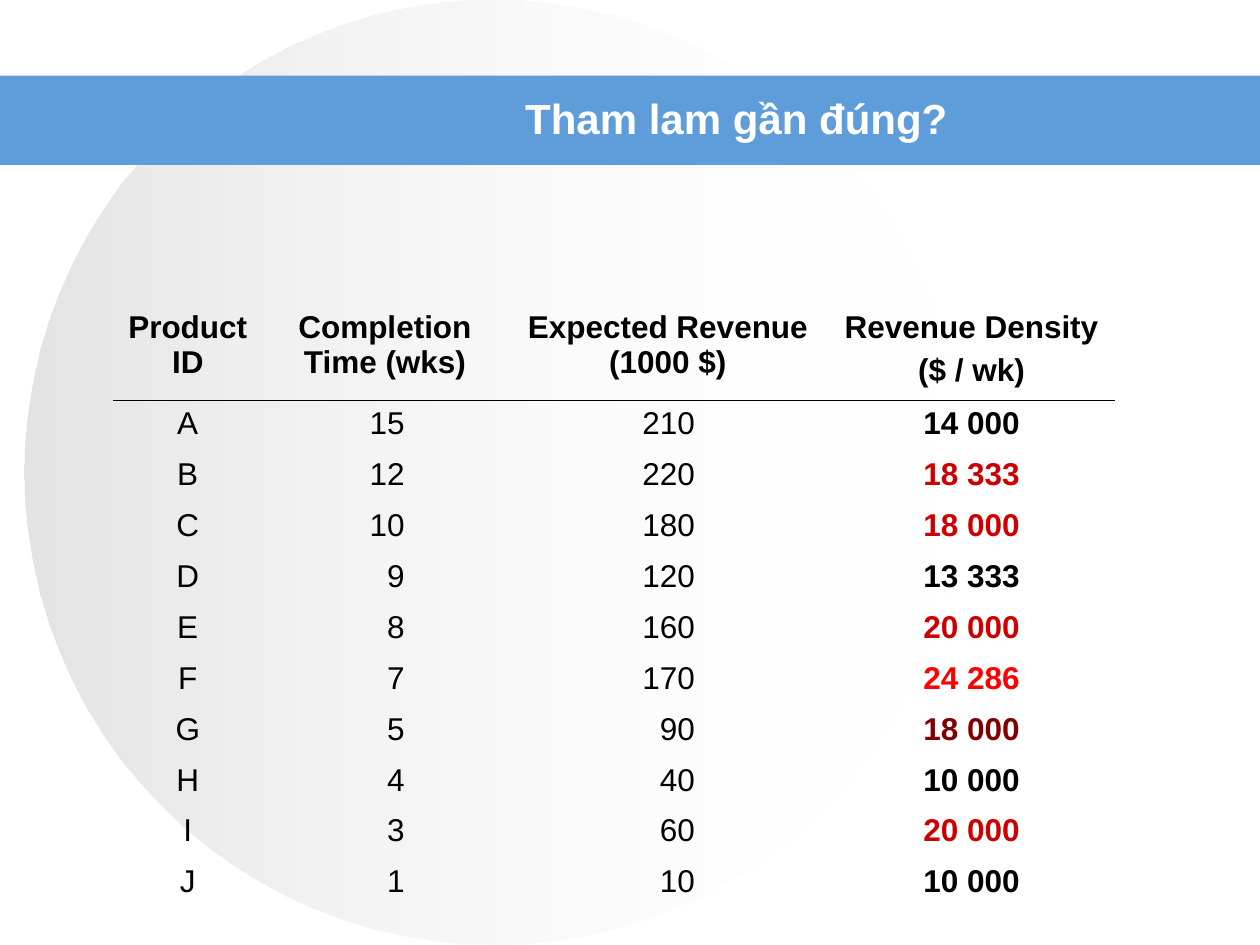
from lxml import etree
from pptx import Presentation, util as u
from pptx.dml.color import RGBColor
from pptx.enum import shapes, text
from pptx.oxml import ns

Pt = u.Pt
COLORS = {"white": "FFFFFF", "black": "000000", "band": "5E9CDA", "grey": "C0C0C0",
          "dark red": "CC0000", "red": "FF0000", "maroon": "800000"}
CENTER, RIGHT = text.PP_ALIGN.CENTER, text.PP_ALIGN.RIGHT


def rgb(name):
    return RGBColor.from_string(COLORS[name])


def write(p, words, color, align=CENTER, **font):
    p.alignment = align
    r = p.add_run()
    r.text = words
    for key, value in {"name": "Arial", "size": Pt(18), "bold": False, **font}.items():
        setattr(r.font, key, value)
    r.font.color.rgb = rgb(color)


prs = Presentation()
prs.slide_width, prs.slide_height = Pt(720), Pt(540)
s = prs.slides.add_slide(prs.slide_layouts[6])

# Background disc, fading to the right
disc = s.shapes.add_shape(shapes.MSO_SHAPE.OVAL, Pt(14.2), 0, Pt(535.7), Pt(540))
disc.fill.gradient()
disc.fill.gradient_angle = 0
for stop, name in zip(disc.fill.gradient_stops, ("grey", "white")):
    stop.color.rgb = rgb(name)
stops = disc._element.spPr.findall(".//" + ns.qn("a:srgbClr"))
for clr, alpha in zip(stops, ("44000", "0")):
    etree.SubElement(clr, ns.qn("a:alpha"), val=alpha)

# Title band
band = s.shapes.add_shape(shapes.MSO_SHAPE.RECTANGLE, 0, Pt(43.2), Pt(720), Pt(51))
band.fill.solid()
band.fill.fore_color.rgb = rgb("band")
for sp in (disc, band):
    sp.shadow.inherit = False
    sp.line.fill.background()

# Title
tf = s.shapes.add_textbox(Pt(123.8), Pt(48.2), Pt(594), Pt(38.2)).text_frame
tf.word_wrap = True
tf.vertical_anchor = text.MSO_ANCHOR.MIDDLE
write(tf.paragraphs[0], "Tham lam gần đúng?", "white", size=Pt(24), bold=True)

# Table data
HEADERS = ["Product ID", "Completion Time (wks)", "Expected Revenue (1000 $)",
           "Revenue Density\n($ / wk)"]
PRODUCTS = [
    ("A", "15", "210", "14 000", "black"),
    ("B", "12", "220", "18 333", "dark red"),
    ("C", "10", "180", "18 000", "dark red"),
    ("D", "9", "120", "13 333", "black"),
    ("E", "8", "160", "20 000", "dark red"),
    ("F", "7", "170", "24 286", "red"),
    ("G", "5", "90", "18 000", "maroon"),
    ("H", "4", "40", "10 000", "black"),
    ("I", "3", "60", "20 000", "dark red"),
    ("J", "1", "10", "10 000", "black"),
]
WIDTHS = [85, 140.4, 182.9, 164.2]
HEADER_H, ROW_H = 54.7, 29.1
NUMBER_MARGINS = {1: 59, 2: 76}  # right margins of the right-aligned columns

frame = s.shapes.add_table(len(PRODUCTS) + 1, len(HEADERS), Pt(64.8), Pt(173.6),
                           Pt(sum(WIDTHS)), Pt(HEADER_H + ROW_H * len(PRODUCTS)))
table = frame.table
table.first_row = table.horz_banding = False
style = table._tbl.tblPr.find(ns.qn("a:tableStyleId"))
style.text = "{2D5ABB26-0587-4C30-8999-92F81FD0307C}"  # no style, no grid
for col, width in zip(table.columns, WIDTHS):
    col.width = Pt(width)
for i, row in enumerate(table.rows):
    row.height = Pt(ROW_H if i else HEADER_H)

# Header row with a rule below
for cell, header in zip(table.rows[0].cells, HEADERS):
    cell.fill.background()
    tf = cell.text_frame
    for i, words in enumerate(header.split("\n")):
        p = tf.add_paragraph() if i else tf.paragraphs[0]
        p.space_before = Pt(4.5)
        write(p, words, "black", bold=True)
    rule = etree.Element(ns.qn("a:lnB"), w=str(Pt(0.45)))
    fill = etree.SubElement(rule, ns.qn("a:solidFill"))
    etree.SubElement(fill, ns.qn("a:srgbClr"), val=COLORS["black"])
    cell._tc.get_or_add_tcPr().insert(0, rule)

# Product rows
for i, (*values, density_color) in enumerate(PRODUCTS, 1):
    for j, value in enumerate(values):
        cell = table.cell(i, j)
        cell.fill.background()
        if j in NUMBER_MARGINS:
            cell.margin_right = Pt(NUMBER_MARGINS[j])
        is_density = j == 3
        p = cell.text_frame.paragraphs[0]
        p.space_before = Pt(4.5)
        write(p, value, density_color if is_density else "black",
              RIGHT if j in NUMBER_MARGINS else CENTER, bold=is_density)

prs.save("out.pptx")
